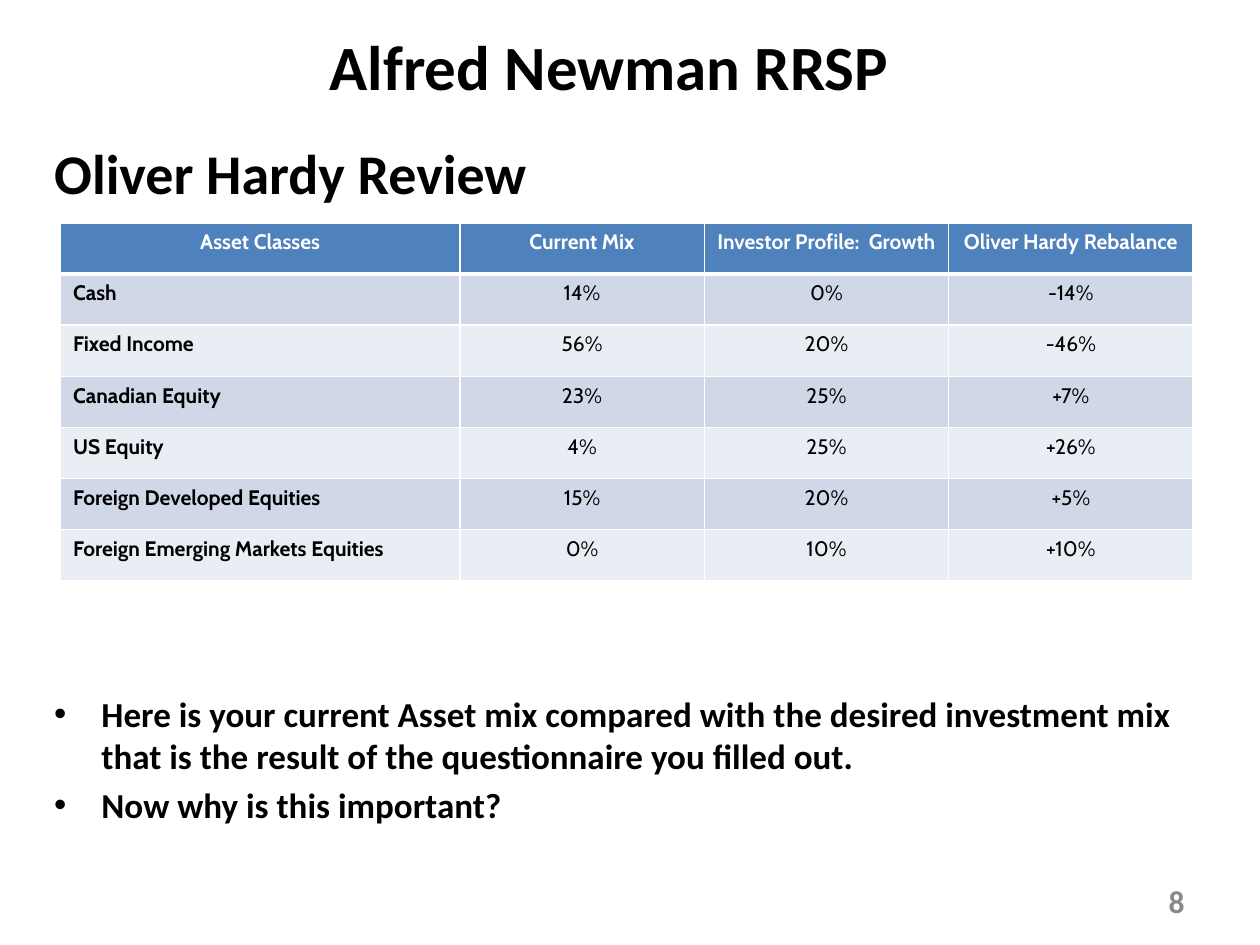
from lxml.etree import SubElement
from pptx import Presentation
from pptx.dml.color import RGBColor
from pptx.enum.text import MSO_ANCHOR, MSO_AUTO_SIZE, PP_ALIGN
from pptx.oxml.ns import qn
from pptx.util import Inches, Pt

BLACK = RGBColor(0x00, 0x00, 0x00)
WHITE = RGBColor(0xFF, 0xFF, 0xFF)
GREY = RGBColor(0x89, 0x89, 0x89)
BLUE = RGBColor(0x4F, 0x81, 0xBD)
BANDS = RGBColor(0xD0, 0xD8, 0xE8), RGBColor(0xE9, 0xED, 0xF4)
LEFT, CENTER, RIGHT = PP_ALIGN.LEFT, PP_ALIGN.CENTER, PP_ALIGN.RIGHT


def write(para, text, size=20, font="Calibri", color=BLACK, bold=True,
          align=LEFT, before=0):
    para.alignment = align
    para.space_before = Pt(before)
    run = para.add_run()
    run.text = text
    run.font.size = Pt(size)
    run.font.name = font
    run.font.bold = bold
    run.font.color.rgb = color


class Page:
    font = "Cabin"

    def __init__(self, deck):
        self.slide = deck.slides.add_slide(deck.slide_layouts[1])

    def place(self, shape, box, anchor=MSO_ANCHOR.TOP):
        shape.left, shape.top, shape.width, shape.height = map(Inches, box)
        frame = shape.text_frame
        frame.word_wrap = True
        frame.auto_size = MSO_AUTO_SIZE.NONE
        frame.vertical_anchor = anchor
        return frame

    def title(self, text, box):
        frame = self.place(self.slide.shapes.title, box)
        write(frame.paragraphs[0], text, size=36, align=CENTER)

    def body(self, head, items, box, gap):
        frame = self.place(self.slide.placeholders[1], box)
        para = frame.paragraphs[0]
        write(para, head, size=32)
        props = para._p.get_or_add_pPr()
        props.set("marL", "0")
        props.set("indent", "0")
        SubElement(props, qn("a:buNone"))
        for i, item in enumerate(items):
            write(frame.add_paragraph(), item, before=4 if i else gap)

    def number(self, text, box):
        shape = self.slide.shapes.add_textbox(*map(Inches, box))
        frame = self.place(shape, box, MSO_ANCHOR.MIDDLE)
        write(frame.paragraphs[0], text, size=18, color=GREY, align=RIGHT)

    def border(self, cell, head):
        props = cell._tc.get_or_add_tcPr()
        for side in "LRTB":
            width = Pt(3 if head and side == "B" else 1)
            line = SubElement(props, qn("a:ln" + side), w=str(width))
            fill = SubElement(line, qn("a:solidFill"))
            SubElement(fill, qn("a:srgbClr"), val=str(WHITE))

    def table(self, rows, box, widths):
        shape = self.slide.shapes.add_table(len(rows), len(widths),
                                            *map(Inches, box))
        grid = shape.table
        for col, width in zip(grid.columns, widths):
            col.width = Inches(width)
        for r, row in enumerate(rows):
            head = r == 0
            for c, text in enumerate(row):
                cell = grid.cell(r, c)
                self.border(cell, head)
                cell.fill.solid()
                cell.fill.fore_color.rgb = BLUE if head else BANDS[(r - 1) % 2]
                write(cell.text_frame.paragraphs[0], text, size=12,
                      font=self.font, color=WHITE if head else BLACK,
                      bold=head or c == 0,
                      align=CENTER if head or c else LEFT)


deck = Presentation()
deck.slide_width, deck.slide_height = Inches(10), Inches(7.5)
page = Page(deck)

# Title and page number
page.title("Alfred Newman RRSP", (0.75, 0.17, 8.17, 0.92))
page.number("8", (7.17, 6.95, 2.33, 0.4))

# Heading and points, with room between them for the table
page.body("Oliver Hardy Review", [
    "Here is your current Asset mix compared with the desired investment mix "
    "that is the result of the questionnaire you filled out.",
    "Now why is this important?",
], (0.33, 1.05, 9.41, 5.68), gap=278)

# Asset mix
page.table([
    ("Asset Classes", "Current Mix", "Investor Profile:  Growth",
     "Oliver Hardy Rebalance"),
    ("Cash", "14%", "0%", "-14%"),
    ("Fixed Income", "56%", "20%", "-46%"),
    ("Canadian Equity", "23%", "25%", "+7%"),
    ("US Equity", "4%", "25%", "+26%"),
    ("Foreign Developed Equities", "15%", "20%", "+5%"),
    ("Foreign Emerging Markets Equities", "0%", "10%", "+10%"),
], (0.48, 1.77, 9, 2.84), [3.17] + [1.94] * 3)

deck.save("out.pptx")
